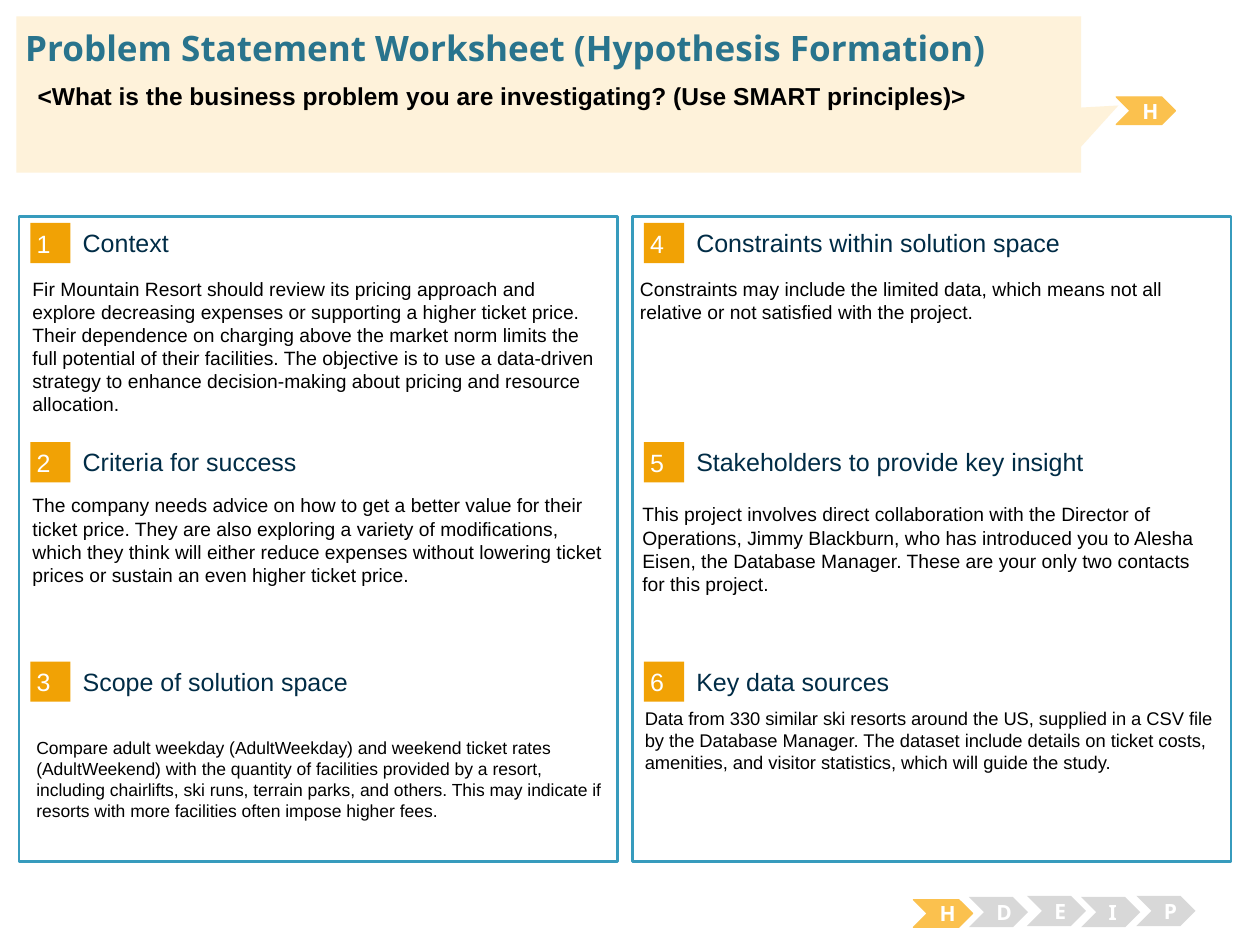
"""Build the problem statement worksheet slide."""
from dataclasses import dataclass

from pptx import Presentation
from pptx.dml.color import RGBColor
from pptx.enum.shapes import MSO_SHAPE as Preset
from pptx.enum.text import MSO_ANCHOR as Anchor, PP_ALIGN as Align
from pptx.util import Pt

COLORS = {
    "white": "FFFFFF",
    "black": "000000",
    "border": "379BBD",
    "badge": "F1A205",
    "heading": "002C46",
    "active": "FBC14E",
    "inactive": "D8D8D8",
    "callout": "FEF2DA",
    "title": "29748D",
}
PANEL_LEFT, PANEL_TOP, PANEL_WIDTH, PANEL_HEIGHT = 10.8, 123.8, 342, 368.6
COLUMN_STEP, ROW_STEP = 350.6, 125.3
BADGE_TOP, BADGE_SIZE = 127.4, 23
BODY_WIDTH = 340.6
ROWS = 3
WIDE_INSETS = (7.2, 3.6)


@dataclass(frozen=True)
class Box:
    left: float
    top: float
    width: float
    height: float

    def lengths(self):
        return [Pt(value) for value in (self.left, self.top, self.width, self.height)]


@dataclass(frozen=True)
class Style:
    size: float
    color: str
    font: str = "Arial"
    bold: bool = False
    align: Align = Align.LEFT
    anchor: Anchor = Anchor.TOP
    insets: tuple[float, float] = WIDE_INSETS


@dataclass(frozen=True)
class Section:
    heading: str
    body: str
    body_box: Box
    body_size: float = 11


@dataclass(frozen=True)
class Step:
    letter: str
    left: float
    top: float
    active: bool = False


TITLE = Style(20, "title", "Noto Sans", True, insets=(0, 0))
PROMPT = Style(14, "black", bold=True)
BADGE = Style(14.3, "white", anchor=Anchor.MIDDLE, insets=(3.6, 3.6))
HEADING = Style(14.3, "heading", anchor=Anchor.MIDDLE, insets=(0, 0))
STEP = Style(12, "white", "Noto Sans", True, Align.CENTER, Anchor.MIDDLE)

SECTIONS = [
    Section(
        "Context",
        "Fir Mountain Resort should review its pricing approach and explore decreasing "
        "expenses or supporting a higher ticket price. Their dependence on charging above "
        "the market norm limits the full potential of their facilities. The objective is to "
        "use a data-driven strategy to enhance decision-making about pricing and resource "
        "allocation.",
        Box(11.5, 154.8, BODY_WIDTH, 97.9),
    ),
    Section(
        "Criteria for success",
        "The company needs advice on how to get a better value for their ticket price. They "
        "are also exploring a variety of modifications, which they think will either reduce "
        "expenses without lowering ticket prices or sustain an even higher ticket price.",
        Box(11.5, 278.6, BODY_WIDTH, 110.9),
    ),
    Section(
        "Scope of solution space",
        "Compare adult weekday (AdultWeekday) and weekend ticket rates (AdultWeekend) with "
        "the quantity of facilities provided by a resort, including chairlifts, ski runs, "
        "terrain parks, and others. This may indicate if resorts with more facilities often "
        "impose higher fees.",
        Box(13.7, 417.6, BODY_WIDTH, 59),
        10,
    ),
    Section(
        "Constraints within solution space",
        "Constraints may include the limited data, which means not all relative or not "
        "satisfied with the project.",
        Box(358.6, 154.8, BODY_WIDTH, 85),
    ),
    Section(
        "Stakeholders to provide key insight",
        "This project involves direct collaboration with the Director of Operations, Jimmy "
        "Blackburn, who has introduced you to Alesha Eisen, the Database Manager. These are "
        "your only two contacts for this project.",
        Box(360, 283.7, BODY_WIDTH, 85),
    ),
    Section(
        "Key data sources",
        "Data from 330 similar ski resorts around the US, supplied in a CSV file by the "
        "Database Manager. The dataset include details on ticket costs, amenities, and "
        "visitor statistics, which will guide the study.",
        Box(361.4, 400.3, BODY_WIDTH, 85),
        10.5,
    ),
]
STEPS = [
    Step("H", 522, 514.1, True),
    Step("D", 553.7, 512.6),
    Step("E", 586.8, 511.9),
    Step("I", 617.8, 512.6),
    Step("P", 649.4, 511.9),
    Step("H", 637.9, 55.4, True),
]


def rgb(name: str) -> RGBColor:
    return RGBColor.from_string(COLORS[name])


def write(shape, text: str, style: Style) -> None:
    frame = shape.text_frame
    frame.word_wrap = True
    frame.vertical_anchor = style.anchor
    across, down = style.insets
    frame.margin_left = frame.margin_right = Pt(across)
    frame.margin_top = frame.margin_bottom = Pt(down)
    para = frame.paragraphs[0]
    para.text = text
    para.alignment = style.align
    para.font.name = style.font
    para.font.size = Pt(style.size)
    para.font.bold = style.bold
    para.font.color.rgb = rgb(style.color)


def add_text(page, box: Box, text: str, style: Style) -> None:
    write(page.shapes.add_textbox(*box.lengths()), text, style)


def add_preset(page, preset: Preset, box: Box, fill: str, line: str = "", weight: float = 0.75):
    shape = page.shapes.add_shape(preset, *box.lengths())
    shape.shadow.inherit = False
    shape.fill.solid()
    shape.fill.fore_color.rgb = rgb(fill)
    if line:
        shape.line.color.rgb = rgb(line)
        shape.line.width = Pt(weight)
    else:
        shape.line.fill.background()
    return shape


def add_section(page, index: int, section: Section) -> None:
    column, row = divmod(index, ROWS)
    left = PANEL_LEFT + column * COLUMN_STEP
    top = BADGE_TOP + row * ROW_STEP
    badge_box = Box(left + 6.5, top, BADGE_SIZE, BADGE_SIZE)
    badge = add_preset(page, Preset.RECTANGLE, badge_box, "badge")
    write(badge, str(index + 1), BADGE)
    add_text(page, Box(left + 36.5, top + 2.2, 283, 18), section.heading, HEADING)
    add_text(page, section.body_box, section.body, Style(section.body_size, "black"))


def add_step(page, step: Step) -> None:
    fill, line, height = ("active", "active", 15.8) if step.active else ("inactive", "", 17.3)
    box = Box(step.left, step.top, 33.8, height)
    write(add_preset(page, Preset.CHEVRON, box, fill, line), step.letter, STEP)


def main() -> None:
    deck = Presentation()
    deck.slide_width, deck.slide_height = Pt(720), Pt(540)
    page = deck.slides.add_slide(deck.slide_layouts[6])
    for column in range(2):
        left = PANEL_LEFT + column * COLUMN_STEP
        panel_box = Box(left, PANEL_TOP, PANEL_WIDTH, PANEL_HEIGHT)
        add_preset(page, Preset.RECTANGLE, panel_box, "white", "border", 1.5)
    for index, section in enumerate(SECTIONS):
        add_section(page, index, section)
    for step in STEPS:
        add_step(page, step)
    callout_box = Box(9.4, 9.4, 608.4, 89.3)
    callout = add_preset(page, Preset.RECTANGULAR_CALLOUT, callout_box, "callout")
    callout.adjustments[0], callout.adjustments[1] = 0.535, 0.07
    add_text(page, Box(14.4, 15.1, 692.6, 24.5),
             "Problem Statement Worksheet (Hypothesis Formation)", TITLE)
    add_text(page, Box(14.4, 42.5, 676, 38.9),
             "<What is the business problem you are investigating? (Use SMART principles)>", PROMPT)
    deck.save("out.pptx")


if __name__ == "__main__":
    main()
